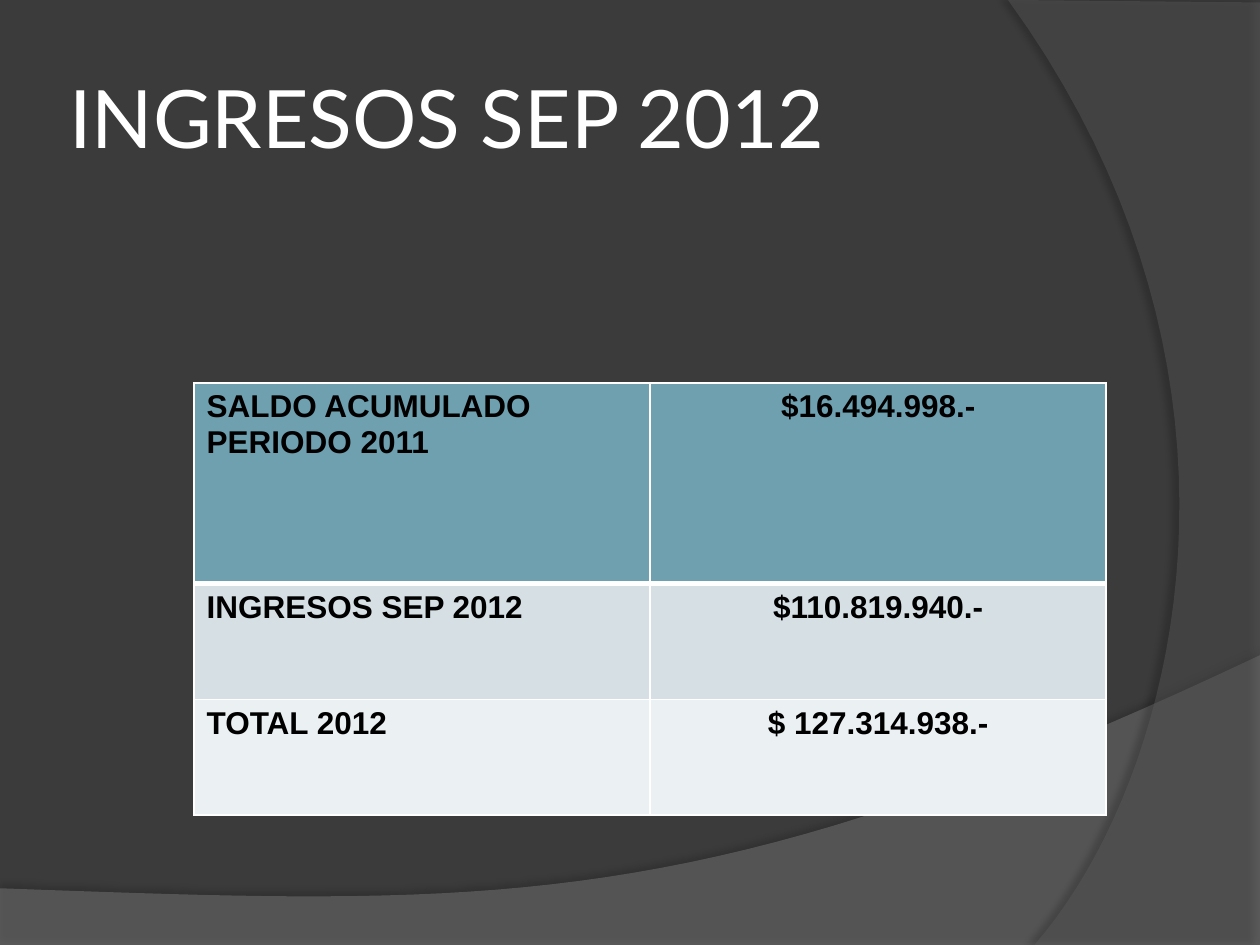
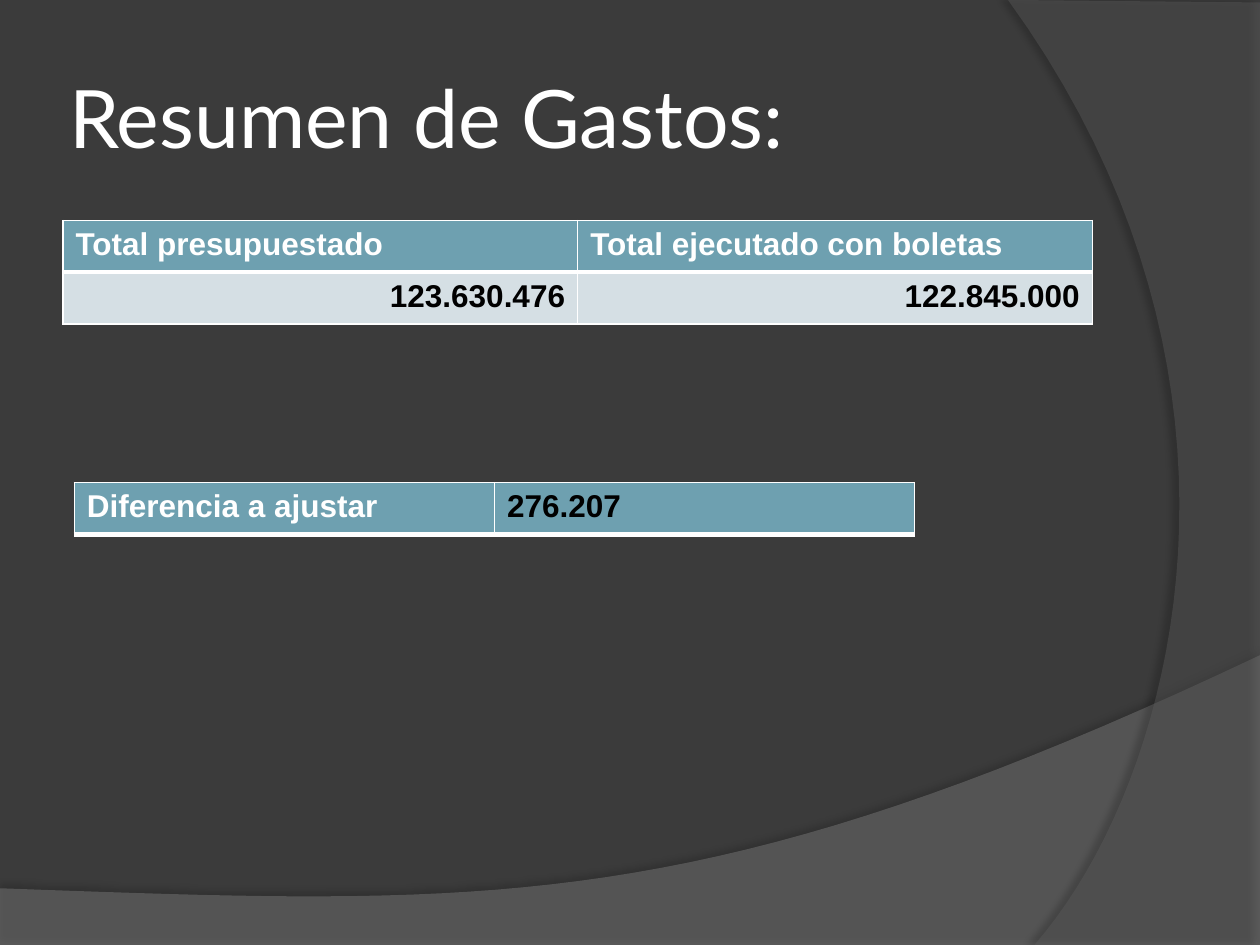
"""Builds the two budget slides: September 2012 income and expense summary."""
from lxml import etree
from pptx import Presentation, util as u
from pptx.dml.color import RGBColor
from pptx.enum import text
from pptx.oxml import parse_xml
from pptx.oxml.ns import nsdecls, qn

BACKDROP = RGBColor(0x3B, 0x3B, 0x3B)
WAVE = RGBColor(0x7F, 0x7F, 0x7F)
ARC = RGBColor(0x5E, 0x5E, 0x5E)
HEADER = RGBColor(0x6E, 0xA0, 0xB0)
BANDS = (RGBColor(0xD5, 0xDF, 0xE4), RGBColor(0xEB, 0xF0, 0xF2))
WHITE = RGBColor(0xFF, 0xFF, 0xFF)
BLACK = RGBColor(0, 0, 0)
LEFT, CENTER, RIGHT = text.PP_ALIGN.LEFT, text.PP_ALIGN.CENTER, text.PP_ALIGN.RIGHT
CURVE_STEPS = 40


def apply(target, values):
    for name, value in values.items():
        setattr(target, name, value)


def curve(start, control1, control2, end):
    points = []
    for step in range(1, CURVE_STEPS + 1):
        t = step / CURVE_STEPS
        weights = ((1 - t) ** 3, 3 * t * (1 - t) ** 2, 3 * t * t * (1 - t), t ** 3)
        corners = (start, control1, control2, end)
        points.append(tuple(sum(w * c[axis] for w, c in zip(weights, corners))
                            for axis in (0, 1)))
    return points


class Deck:
    title_font = {"name": "Lato", "size": u.Pt(46), "bold": False}
    cell_font = {"name": "Arial", "size": u.Pt(18), "bold": True}
    title_frame = {"word_wrap": True, "vertical_anchor": text.MSO_ANCHOR.MIDDLE,
                   **{f"margin_{side}": u.Inches(0.05)
                      for side in ("left", "top", "right", "bottom")}}

    def __init__(self):
        self.prs = Presentation()
        apply(self.prs, {"slide_width": u.Inches(10), "slide_height": u.Inches(7.5)})
        self.slide = None

    def add_slide(self, title):
        self.slide = self.prs.slides.add_slide(self.prs.slide_layouts[6])
        backdrop = self.slide.background.fill
        backdrop.solid()
        backdrop.fore_color.rgb = BACKDROP
        wave = [(0, 7.05), (0, 7.51), (10, 7.51), (10, 5.2)]
        wave += curve((10, 5.2), (5.59, 7.29), (3.91, 7.19), (0, 7.05))
        self.swoosh(wave, WAVE, 45, 35, 3.5, 270)
        arc = [(10, 0.02), (10, 7.5), (8.21, 7.5)]
        arc += curve((8.21, 7.5), (9.35, 6.19), (10.18, 3), (8, 0))
        self.swoosh(arc, ARC, 40, 45, 4, 180)
        self.title(title)

    def swoosh(self, points, color, opacity, shadow_opacity, distance, angle):
        start, *rest = [(u.Inches(x), u.Inches(y)) for x, y in points]
        builder = self.slide.shapes.build_freeform(*start)
        builder.add_line_segments(rest, close=True)
        shape = builder.convert_to_shape()
        shape.line.fill.background()
        shape.fill.solid()
        shape.fill.fore_color.rgb = color
        properties = shape.element.spPr
        tint = properties.find(qn("a:solidFill"))[0]
        etree.SubElement(tint, qn("a:alpha"), val=str(opacity * 1000))
        shape.shadow.inherit = False
        properties.find(qn("a:effectLst")).append(parse_xml(
            f'<a:outerShdw {nsdecls("a")} blurRad="{u.Pt(4)}" dist="{u.Pt(distance)}" '
            f'dir="{angle * 60000}" algn="ctr" rotWithShape="0"><a:srgbClr val="{BLACK}">'
            f'<a:alpha val="{shadow_opacity * 1000}"/></a:srgbClr></a:outerShdw>'))

    def add_words(self, paragraph, words, font, color, align=LEFT):
        paragraph.alignment = align
        run = paragraph.add_run()
        run.text = words
        apply(run.font, font)
        run.font.color.rgb = color

    def title(self, words):
        box = self.slide.shapes.add_textbox(*map(u.Inches, (0.5, 0.3, 8.17, 1.25)))
        apply(box.text_frame, self.title_frame)
        self.add_words(box.text_frame.paragraphs[0], words, self.title_font, WHITE)

    def borders(self, cell, bottom):
        properties = cell._tc.get_or_add_tcPr()
        for side, points in (("L", 1), ("R", 1), ("T", 1), ("B", bottom)):
            properties.append(parse_xml(
                f'<a:ln{side} {nsdecls("a")} w="{u.Pt(points)}"><a:solidFill>'
                f'<a:srgbClr val="{WHITE}"/></a:solidFill></a:ln{side}>'))

    def table(self, left, top, width, heights, rows):
        columns = len(rows[0])
        table = self.slide.shapes.add_table(
            len(rows), columns, *map(u.Inches, (left, top, width, sum(heights)))).table
        for column in table.columns:
            column.width = u.Inches(width / columns)
        for index, (height, entries) in enumerate(zip(heights, rows)):
            table.rows[index].height = u.Inches(height)
            for cell, entry in zip(table.rows[index].cells, entries):
                self.borders(cell, 1 if index else 3)
                cell.fill.solid()
                cell.fill.fore_color.rgb = BANDS[(index - 1) % 2] if index else HEADER
                words, color, align = entry
                self.add_words(cell.text_frame.paragraphs[0], words,
                               self.cell_font, color, align)


deck = Deck()

deck.add_slide("INGRESOS SEP 2012")
income = [("SALDO ACUMULADO PERIODO 2011", "$16.494.998.-"),
          ("INGRESOS SEP 2012", "$110.819.940.-"),
          ("TOTAL 2012", "$ 127.314.938.-")]
deck.table(1.54, 3.04, 7.24, (1.59, 0.92, 0.92),
           [[(concept, BLACK, LEFT), (amount, BLACK, CENTER)] for concept, amount in income])

deck.add_slide("Resumen de Gastos:")
headings = ("Total presupuestado", "Total ejecutado con boletas")
totals = ("123.630.476", "122.845.000")
deck.table(0.5, 1.75, 8.17, (0.41, 0.41),
           [[(heading, WHITE, LEFT) for heading in headings],
            [(total, BLACK, RIGHT) for total in totals]])
deck.table(0.59, 3.83, 6.67, (0.41,),
           [[("Diferencia a ajustar", WHITE, LEFT), ("276.207", BLACK, LEFT)]])

deck.prs.save("out.pptx")
